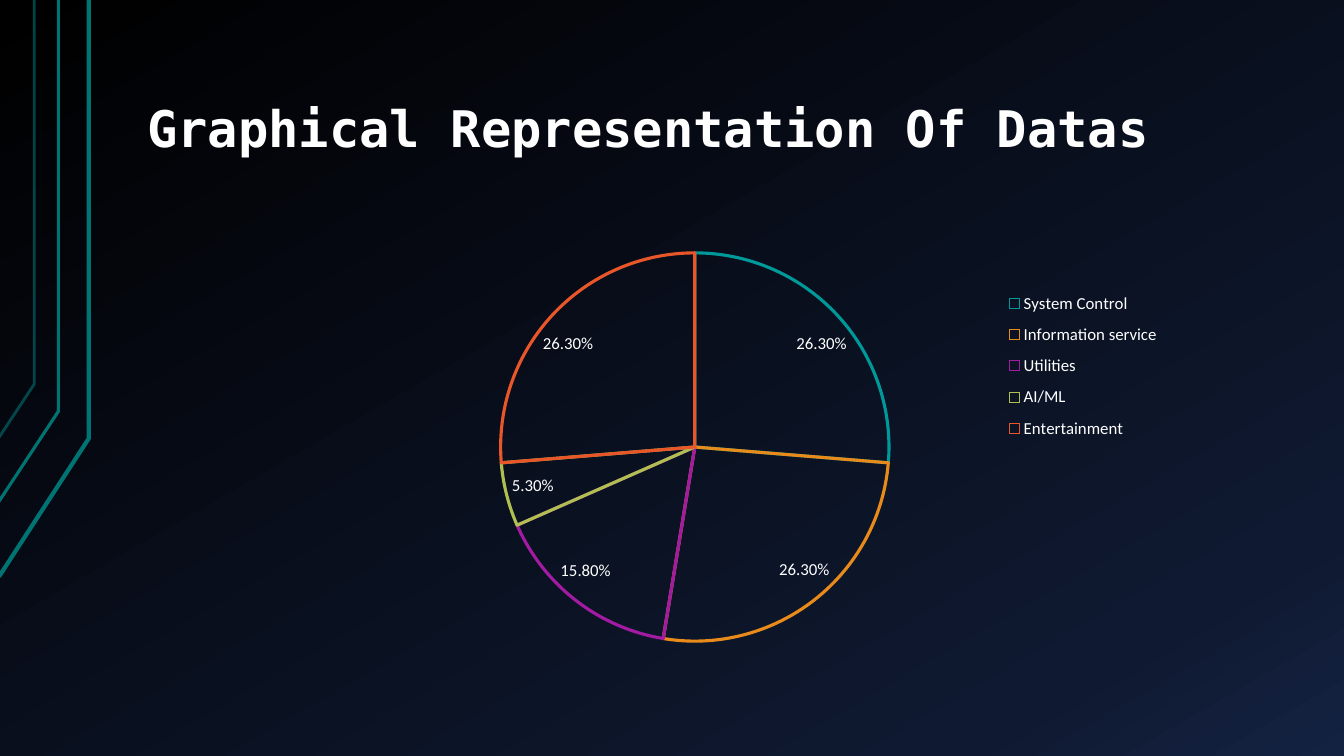
import lxml.etree
import pptx
import pptx.chart.data
import pptx.dml.color
import pptx.enum.chart
import pptx.enum.text
import pptx.oxml
import pptx.oxml.ns
import pptx.util

Inches, Pt = pptx.util.Inches, pptx.util.Pt
qn = pptx.oxml.ns.qn


class Theme:
    body, mono = "Calibri", "DejaVu Sans Mono"
    white, teal = "FFFFFF", "007373"
    back = [(0, "000000"), (85, "0F1931"), (100, "142242")]
    slices = ["009999", "E98B1A", "A31AA3", "B0BF50", "E8562A"]
    title, label = 36, 12


def rgb(code):
    return pptx.dml.color.RGBColor.from_string(code)


def style(font, size, name=Theme.body, color=Theme.white, bold=False):
    font.size, font.name, font.bold = Pt(size), name, bold
    font.color.rgb = rgb(color)


def write(frame, text, spacing=1.0, **form):
    para = frame.paragraphs[0]
    para.line_spacing = spacing
    run = para.add_run()
    run.text = text
    style(run.font, **form)


def place(parent, x, y, w, h):
    """Add a manual layout, in fractions of the chart, to a plot or legend."""
    for old in parent.findall(qn("c:layout")):
        parent.remove(old)
    layout = lxml.etree.Element(qn("c:layout"))
    box = lxml.etree.SubElement(layout, qn("c:manualLayout"))
    parts = [("xMode", "edge"), ("yMode", "edge"),
             ("x", x), ("y", y), ("w", w), ("h", h)]
    if parent.tag == qn("c:plotArea"):
        parts.insert(0, ("layoutTarget", "inner"))
    for tag, val in parts:
        lxml.etree.SubElement(box, qn("c:" + tag)).set("val", str(val))
    spot = parent.find(qn("c:legendPos"))
    parent.insert(0 if spot is None else parent.index(spot) + 1, layout)


class Deck:
    def __init__(self, theme):
        self.theme = theme
        self.prs = pptx.Presentation()
        self.prs.slide_width, self.prs.slide_height = Inches(13.33), Inches(7.5)
        self.slide = self.prs.slides.add_slide(self.prs.slide_layouts[5])

    def back(self, angle):
        fill = self.slide.background.fill
        fill.gradient()
        fill.gradient_angle = 360 - angle
        grad = self.slide.background._cSld.find(".//" + qn("a:gradFill"))
        stops = grad.find(qn("a:gsLst"))
        for stop in list(stops):
            stops.remove(stop)
        for pos, code in self.theme.back:
            stop = lxml.etree.SubElement(stops, qn("a:gs"), pos=str(pos * 1000))
            lxml.etree.SubElement(stop, qn("a:srgbClr"), val=code)

    def title(self, text, box):
        shape = self.slide.shapes.title
        shape.left, shape.top, shape.width, shape.height = map(Inches, box)
        frame = shape.text_frame
        frame.word_wrap = True
        frame.auto_size = pptx.enum.text.MSO_AUTO_SIZE.NONE
        frame.vertical_anchor = pptx.enum.text.MSO_ANCHOR.BOTTOM
        frame.margin_left = frame.margin_right = Inches(0.13)
        frame.margin_top = frame.margin_bottom = Inches(0.07)
        write(frame, text, spacing=0.9, size=self.theme.title,
              name=self.theme.mono, bold=True)
        frame.paragraphs[0].alignment = pptx.enum.text.PP_ALIGN.LEFT

    def trace(self, points, width, alpha=100):
        """Draw an open line through the points."""
        spots = [(Inches(x), Inches(y)) for x, y in points]
        path = self.slide.shapes.build_freeform(*spots[0])
        path.add_line_segments(spots[1:], close=False)
        shape = path.convert_to_shape()
        shape.shadow.inherit = False
        shape.fill.background()
        shape.line.color.rgb = rgb(self.theme.teal)
        shape.line.width = Pt(width)
        if alpha < 100:
            color = shape.line._ln.find(".//" + qn("a:srgbClr"))
            lxml.etree.SubElement(color, qn("a:alpha"), val=str(alpha * 1000))

    def pie(self, values, box):
        data = pptx.chart.data.CategoryChartData(number_format="0.00%")
        data.categories = list(values)
        data.add_series("Series 1", list(values.values()))
        chart = self.slide.shapes.add_chart(
            pptx.enum.chart.XL_CHART_TYPE.PIE, *map(Inches, box), data).chart
        chart.has_title = False
        style(chart.font, 10)
        chart.has_legend = True
        legend = chart.legend
        legend.position = pptx.enum.chart.XL_LEGEND_POSITION.RIGHT
        legend.include_in_layout = False
        style(legend.font, self.theme.label)
        place(legend._element, 0.78, 0.16, 0.16, 0.34)

        plot = chart.plots[0]
        plot.vary_by_categories = True
        place(chart._chartSpace.chart.plotArea, 0.35, 0.1, 0.34, 0.79)
        for i, code in enumerate(self.theme.slices):
            form = plot.series[0].points[i].format
            form.fill.background()
            form.line.color.rgb = rgb(code)
            form.line.width = Pt(2.25)
        labels = plot.series[0].data_labels
        labels.show_value = True
        labels.show_percentage = False
        labels.number_format, labels.number_format_is_linked = "0.00%", False
        labels.position = pptx.enum.chart.XL_LABEL_POSITION.BEST_FIT
        style(labels.font, self.theme.label)


def main():
    deck = Deck(Theme)
    deck.back(60)
    deck.trace([(-0.01, 5.72), (0.88, 4.35), (0.88, 0)], 3)
    deck.trace([(-0.02, 4.99), (0.58, 4.08), (0.58, 0)], 2.25)
    deck.trace([(-0.01, 4.34), (0.34, 3.81), (0.34, 0)], 2, alpha=60)
    deck.title("Graphical Representation Of Datas", (1.33, 0.3, 11.33, 1.34))
    deck.pie({"System Control": 0.263, "Information service": 0.263,
              "Utilities": 0.158, "AI/ML": 0.053, "Entertainment": 0.263},
             (1, 2.02, 11.33, 4.88))
    deck.prs.save("out.pptx")


if __name__ == "__main__":
    main()
